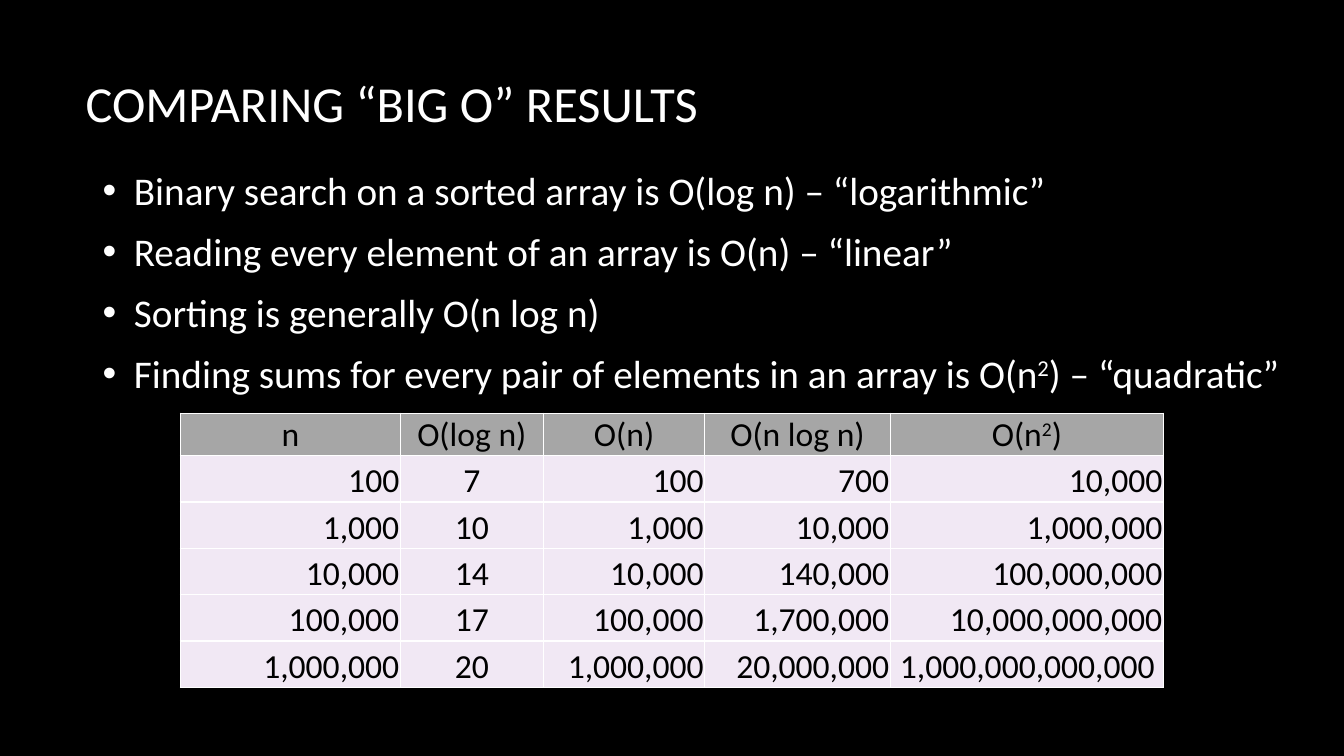
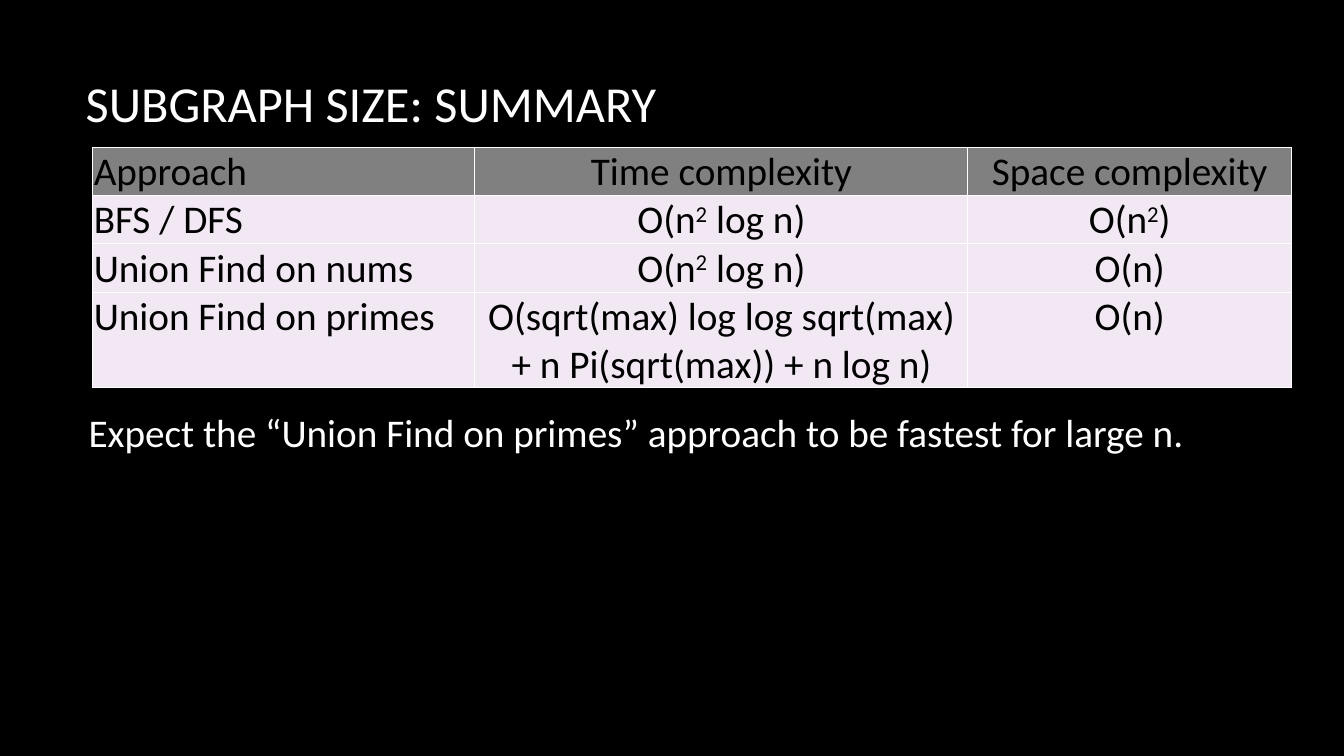
from dataclasses import dataclass

from lxml import etree
from pptx import Presentation
from pptx.dml.color import RGBColor
from pptx.enum.text import MSO_ANCHOR, MSO_AUTO_SIZE, PP_ALIGN
from pptx.oxml.ns import qn
from pptx.util import Inches, Pt

LEFT, CENTER, RIGHT = PP_ALIGN.LEFT, PP_ALIGN.CENTER, PP_ALIGN.RIGHT
TOP, BOTTOM = MSO_ANCHOR.TOP, MSO_ANCHOR.BOTTOM
NO_AUTOFIT = MSO_AUTO_SIZE.NONE

FONT = "Calibri"
COLORS = {
    "background": "000000",
    "text": "FFFFFF",
    "cell_text": "000000",
    "cell": "F1E8F4",
    "border": "FFFFFF",
    "light_header": "A6A6A6",
    "dark_header": "808080",
}


@dataclass
class Box:
    left: float
    top: float
    width: float
    height: float

    def emu(self) -> tuple:
        return tuple(Inches(v) for v in (self.left, self.top, self.width, self.height))


@dataclass
class TableSpec:
    left: float
    top: float
    widths: list
    heights: list
    rows: list
    header_aligns: list
    aligns: list
    header_fill: str
    size: int
    anchor: int = TOP


TITLE_BOX = Box(0.75, 0.67, 11.08, 1.59)


def write(p, text: str, *, size: int, color: str = "text", align=LEFT, after: int = 0) -> None:
    """Fill a paragraph; text between carets is superscript."""
    p.alignment = align
    p.space_before, p.space_after = Pt(0), Pt(after)
    for i, part in enumerate(text.split("^")):
        r = p.add_run()
        r.text = part
        r.font.name, r.font.size, r.font.bold = FONT, Pt(size), False
        r.font.color.rgb = RGBColor.from_string(COLORS[color])
        if i % 2:
            r.font._element.set("baseline", "30000")


def add_bullet(p) -> None:
    pPr = p._p.get_or_add_pPr()
    pPr.set("marL", str(Inches(0.31)))
    pPr.set("indent", str(-Inches(0.31)))
    color = etree.SubElement(pPr, qn("a:buClr"))
    etree.SubElement(color, qn("a:srgbClr"), val=COLORS["text"])
    etree.SubElement(pPr, qn("a:buFont"), typeface="Arial")
    etree.SubElement(pPr, qn("a:buChar"), char="•")


def add_titled_slide(prs, title: str):
    s = prs.slides.add_slide(prs.slide_layouts[5])
    sp = s.shapes.title
    sp.left, sp.top, sp.width, sp.height = TITLE_BOX.emu()
    tf = sp.text_frame
    tf.auto_size, tf.vertical_anchor, tf.word_wrap = NO_AUTOFIT, TOP, True
    write(tf.paragraphs[0], title, size=36)
    return s


def add_body(s, box: Box, lines: list, *, bullets: bool = False) -> None:
    tf = s.shapes.add_textbox(*box.emu()).text_frame
    tf.word_wrap = True
    for i, line in enumerate(lines):
        p = tf.add_paragraph() if i else tf.paragraphs[0]
        if bullets:
            add_bullet(p)
        write(p, line, size=28, after=10)


def format_cell(cell, fill: str, anchor) -> None:
    cell.margin_left = cell.margin_right = cell.margin_top = Inches(0.01)
    cell.margin_bottom = 0
    cell.vertical_anchor = anchor
    cell.fill.solid()
    cell.fill.fore_color.rgb = RGBColor.from_string(COLORS[fill])
    # Borders come before the fill in the cell properties
    tcPr = cell._tc.get_or_add_tcPr()
    for i, side in enumerate(("lnL", "lnR", "lnT", "lnB")):
        ln = etree.Element(qn(f"a:{side}"), w=str(Pt(1)))
        solid = etree.SubElement(ln, qn("a:solidFill"))
        etree.SubElement(solid, qn("a:srgbClr"), val=COLORS["border"])
        tcPr.insert(i, ln)


def add_table(s, spec: TableSpec) -> None:
    box = Box(spec.left, spec.top, sum(spec.widths), sum(spec.heights))
    table = s.shapes.add_table(len(spec.rows), len(spec.widths), *box.emu()).table
    table.first_row = table.horz_banding = False
    for column, width in zip(table.columns, spec.widths):
        column.width = Inches(width)
    for i, (row, height) in enumerate(zip(table.rows, spec.heights)):
        row.height = Inches(height)
        aligns = spec.aligns if i else spec.header_aligns
        for cell, text, align in zip(row.cells, spec.rows[i], aligns):
            format_cell(cell, "cell" if i else spec.header_fill, spec.anchor if i else TOP)
            write(cell.text_frame.paragraphs[0], text, size=spec.size,
                  color="cell_text", align=align)


GROWTH_TABLE = TableSpec(
    left=1.79, top=4.1,
    widths=[2.18, 1.42, 1.6, 1.84, 2.71],
    heights=[0.42] + [0.46] * 5,
    rows=[
        ["n", "O(log n)", "O(n)", "O(n log n)", "O(n^2^)"],
        ["100", "7", "100", "700", "10,000"],
        ["1,000", "10", "1,000", "10,000", "1,000,000"],
        ["10,000", "14", "10,000", "140,000", "100,000,000"],
        ["100,000", "17", "100,000", "1,700,000", "10,000,000,000"],
        ["1,000,000", "20", "1,000,000", "20,000,000", "1,000,000,000,000 "],
    ],
    header_aligns=[CENTER] * 5,
    aligns=[RIGHT, CENTER, RIGHT, RIGHT, RIGHT],
    header_fill="light_header", size=24, anchor=BOTTOM,
)

APPROACH_TABLE = TableSpec(
    left=0.92, top=1.46,
    widths=[3.79, 4.89, 3.21],
    heights=[0.48, 0.48, 0.48, 0.94],
    rows=[
        ["Approach", "Time complexity", "Space complexity"],
        ["BFS / DFS", "O(n^2^ log n)", "O(n^2^)"],
        ["Union Find on nums", "O(n^2^ log n)", "O(n)"],
        ["Union Find on primes",
         "O(sqrt(max) log log sqrt(max) + n Pi(sqrt(max)) + n log n)", "O(n)"],
    ],
    header_aligns=[LEFT, CENTER, CENTER],
    aligns=[LEFT, CENTER, CENTER],
    header_fill="dark_header", size=28,
)


def main() -> None:
    prs = Presentation()
    prs.slide_width, prs.slide_height = Inches(13.33), Inches(7.5)
    fill = prs.slide_master.background.fill
    fill.solid()
    fill.fore_color.rgb = RGBColor.from_string(COLORS["background"])

    # Growth rates
    s = add_titled_slide(prs, "COMPARING “BIG O” RESULTS")
    add_body(s, Box(0.92, 1.6, 12.05, 4.76), [
        "Binary search on a sorted array is O(log n) – “logarithmic”",
        "Reading every element of an array is O(n) – “linear”",
        "Sorting is generally O(n log n)",
        "Finding sums for every pair of elements in an array is O(n^2^) – “quadratic”",
    ], bullets=True)
    add_table(s, GROWTH_TABLE)

    # Summary of approaches
    s = add_titled_slide(prs, "SUBGRAPH SIZE: SUMMARY")
    add_body(s, Box(0.78, 4, 11.5, 3.1), [
        "Expect the “Union Find on primes” approach to be fastest for large n.",
    ])
    add_table(s, APPROACH_TABLE)

    prs.save("out.pptx")


if __name__ == "__main__":
    main()
